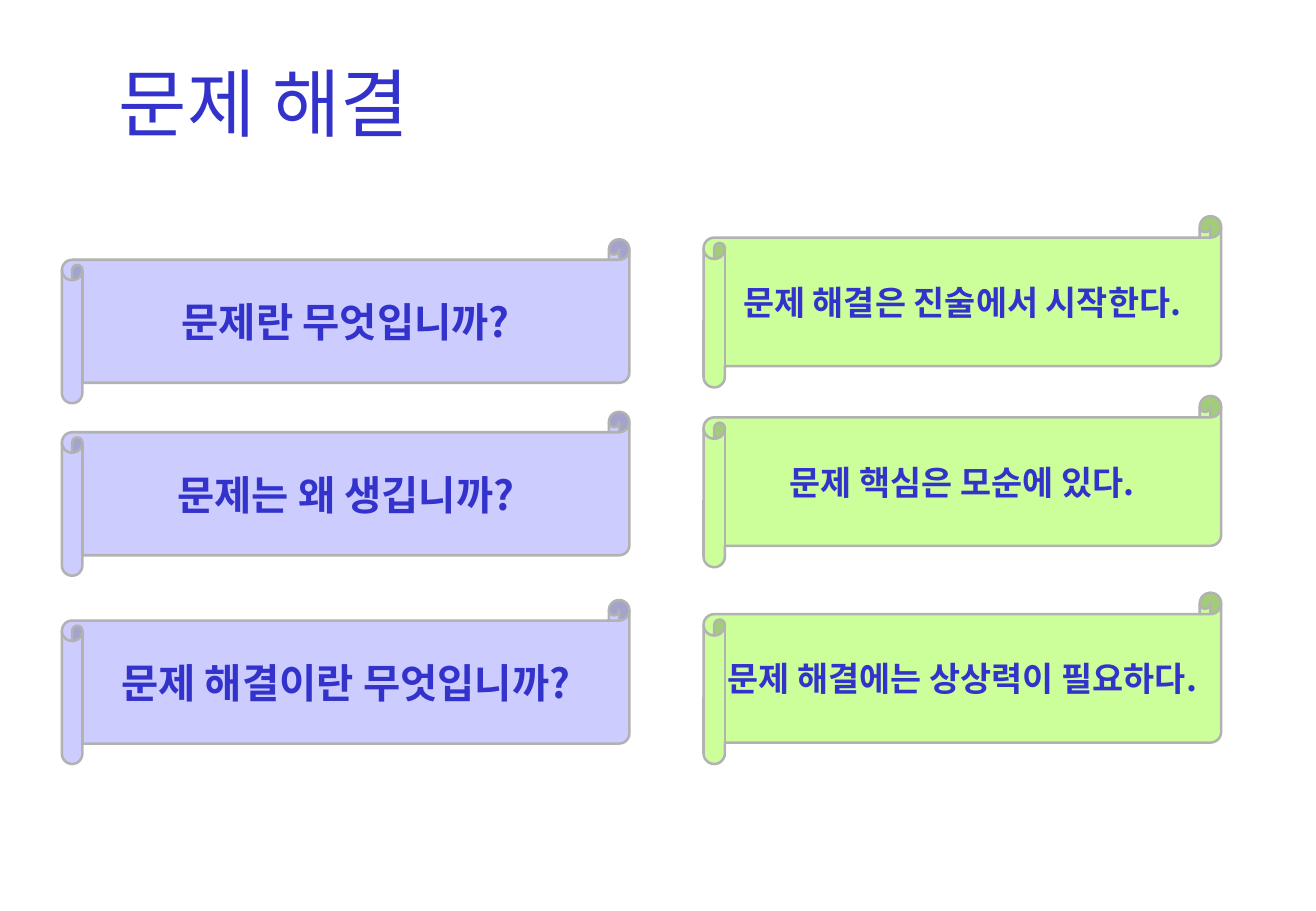
from lxml import etree
from pptx import Presentation
from pptx.dml.color import RGBColor
from pptx.enum.shapes import MSO_SHAPE
from pptx.enum.text import MSO_ANCHOR, PP_ALIGN
from pptx.oxml.ns import qn
from pptx.util import Inches, Pt

SCROLL = MSO_SHAPE.HORIZONTAL_SCROLL
MIDDLE = MSO_ANCHOR.MIDDLE
LEFT, CENTER = PP_ALIGN.LEFT, PP_ALIGN.CENTER
FONT = "Noto Sans CJK KR"
COLORS = {"text": "3333CC", "edge": "B2B2B2", "question": "CCCCFF", "answer": "CCFF99"}
PAGE_WIDTH, PAGE_HEIGHT = 10.83, 7.5
TITLE_FRAME = (0.88, 0.21, 9.21, 1.25)
COLUMNS = [
    {"color": "question", "left": 0.51, "width": 4.67, "height": 1.35, "size": 24,
     "rows": [(1.97, "문제란 무엇입니까?"),
              (3.39, "문제는 왜 생깁니까?"),
              (4.94, "문제 해결이란 무엇입니까?")]},
    {"color": "answer", "left": 5.79, "width": 4.26, "height": 1.41, "size": 20,
     "rows": [(1.78, "문제 해결은 진술에서 시작한다."),
              (3.26, "문제 핵심은 모순에 있다."),
              (4.88, "문제 해결에는 상상력이 필요하다.")]},
]


def rgb(name):
    """Return the named colour."""
    return RGBColor.from_string(COLORS[name])


def add_text(page, frame, text, size, bold=False, align=LEFT, wrap=False):
    """Add one vertically centred line of text within a frame."""
    box = page.shapes.add_textbox(*map(Inches, frame))
    box.text_frame.word_wrap = wrap
    box.text_frame.vertical_anchor = MIDDLE
    para = box.text_frame.paragraphs[0]
    para.text = text
    para.alignment = align
    font = para.font
    font.size, font.bold, font.name = Pt(size), bold, FONT
    font.color.rgb = rgb("text")
    latin = para._p.pPr.find(qn("a:defRPr")).find(qn("a:latin"))
    east_asian = etree.Element(qn("a:ea"), typeface=FONT)
    latin.addnext(east_asian)


def add_scroll(page, frame, text, color, size):
    """Add a scroll with a bold caption at its centre."""
    scroll = page.shapes.add_shape(SCROLL, *map(Inches, frame))
    scroll.shadow.inherit = False
    scroll.fill.solid()
    scroll.fill.fore_color.rgb = rgb(color)
    scroll.line.color.rgb = rgb("edge")
    scroll.line.width = Pt(1.5)
    add_text(page, frame, text, size, bold=True, align=CENTER)


def main():
    """Build the slide and save it."""
    deck = Presentation()
    deck.slide_width, deck.slide_height = Inches(PAGE_WIDTH), Inches(PAGE_HEIGHT)
    page = deck.slides.add_slide(deck.slide_layouts[6])
    add_text(page, TITLE_FRAME, "문제 해결", 44, wrap=True)
    for column in COLUMNS:
        for top, text in column["rows"]:
            frame = (column["left"], top, column["width"], column["height"])
            add_scroll(page, frame, text, column["color"], column["size"])
    deck.save("out.pptx")


if __name__ == "__main__":
    main()
